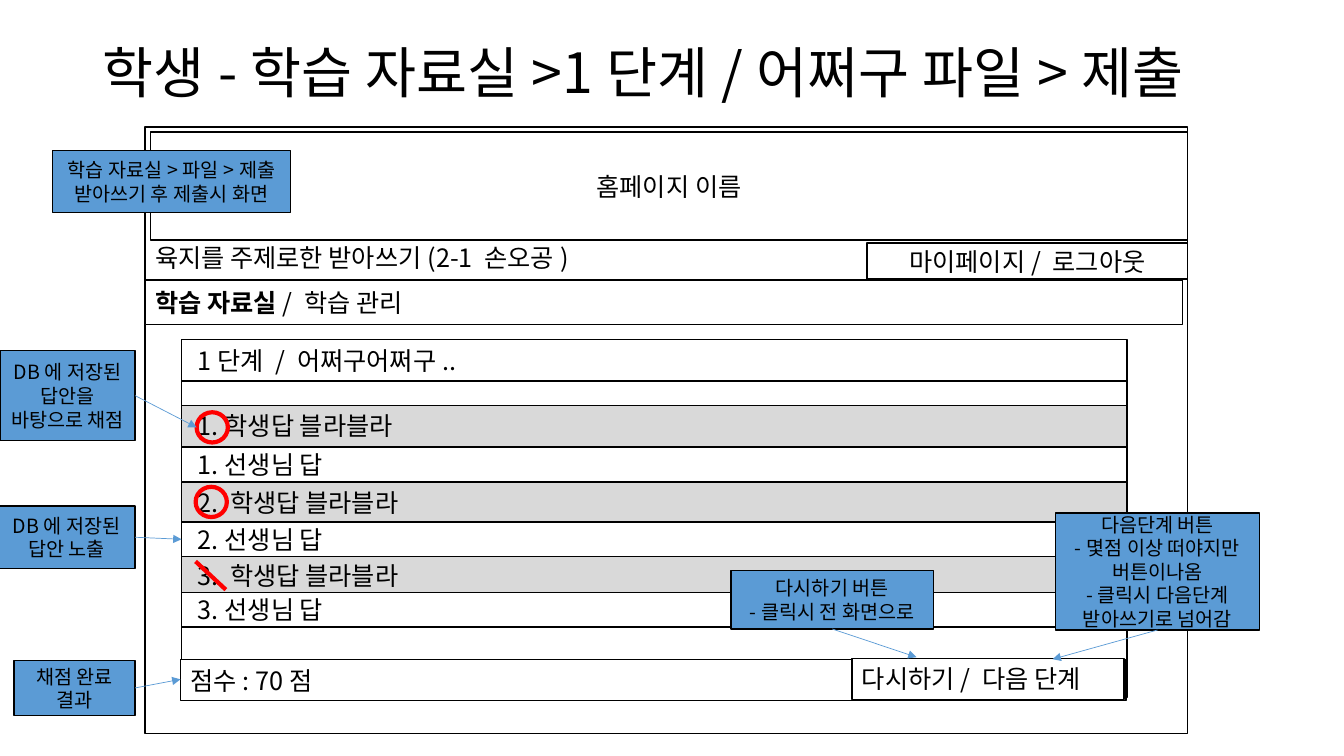
from dataclasses import dataclass

from lxml.etree import SubElement
from pptx import Presentation
from pptx.dml.color import RGBColor
from pptx.enum.shapes import MSO_CONNECTOR, MSO_SHAPE
from pptx.enum.text import MSO_ANCHOR, MSO_AUTO_SIZE, PP_ALIGN
from pptx.oxml.ns import qn
from pptx.util import Inches, Pt


@dataclass(frozen=True)
class Theme:
    font: str = "Noto Sans CJK KR"
    ink: RGBColor = RGBColor(0x00, 0x00, 0x00)
    paper: RGBColor = RGBColor(0xFF, 0xFF, 0xFF)
    student: RGBColor = RGBColor(0xD9, 0xD9, 0xD9)
    note: RGBColor = RGBColor(0x5B, 0x9B, 0xD5)
    mark: RGBColor = RGBColor(0xFF, 0x00, 0x00)
    title_size: float = 39.6
    body_size: float = 18
    note_size: float = 14


THEME = Theme()
BOTTOM, RIGHT = 2, 3  # connection sites of a rectangle


# Shared building blocks
def format_paragraph(paragraph, size, align=PP_ALIGN.LEFT):
    paragraph.alignment = align
    font = paragraph.font
    font.name, font.size = THEME.font, Pt(size)
    font.color.rgb = THEME.ink
    defaults = paragraph._p.pPr.find(qn("a:defRPr"))
    SubElement(defaults, qn("a:ea")).set("typeface", THEME.font)


def add_panel(slide, left, top, width, height, text="", fill=THEME.paper,
              size=THEME.body_size, align=PP_ALIGN.LEFT, indent=0.1):
    panel = slide.shapes.add_shape(MSO_SHAPE.RECTANGLE, Inches(left), Inches(top),
                                   Inches(width), Inches(height))
    panel.shadow.inherit = False
    panel.fill.solid()
    panel.fill.fore_color.rgb = fill
    panel.line.color.rgb = THEME.ink
    panel.line.width = Pt(1)
    frame = panel.text_frame
    frame.word_wrap = True
    frame.vertical_anchor = MSO_ANCHOR.MIDDLE
    frame.margin_left = Inches(indent)
    if text:
        frame.text = text
        for paragraph in frame.paragraphs:
            format_paragraph(paragraph, size, align)
    return panel


def add_line(slide, start, end, color, width):
    line = slide.shapes.add_connector(MSO_CONNECTOR.STRAIGHT,
                                      *(Inches(value) for value in (*start, *end)))
    line.line.color.rgb = color
    line.line.width = Pt(width)
    SubElement(line._element.spPr, qn("a:effectLst"))
    return line


def add_callout(slide, box, text, site=None, target=None):
    callout = add_panel(slide, *box, text, THEME.note, THEME.note_size, PP_ALIGN.CENTER)
    if target:
        left, top, width, height = box
        start = ((left + width, top + height / 2) if site == RIGHT
                 else (left + width / 2, top + height))
        arrow = add_line(slide, start, target, THEME.note, 0.5)
        arrow.begin_connect(callout, site)
        SubElement(arrow.line._get_or_add_ln(), qn("a:tailEnd")).set("type", "triangle")


# Slide title
def build_title(slide, left, top, width, height):
    title = slide.shapes.title
    title.left, title.top = Inches(left), Inches(top)
    title.width, title.height = Inches(width), Inches(height)
    frame = title.text_frame
    frame.text = "학생-학습 자료실>1단계/어쩌구 파일>제출"
    frame.auto_size = MSO_AUTO_SIZE.NONE
    frame.vertical_anchor = MSO_ANCHOR.MIDDLE
    heading = frame.paragraphs[0]
    format_paragraph(heading, THEME.title_size)
    heading.line_spacing = 0.9


# Web page frame: banner, account links, menu and lesson name
def build_page(slide, left, top, width, height):
    add_panel(slide, left, top, width, height)
    inner = width - 0.05
    add_panel(slide, left + 0.05, top + 0.05, inner, 1.07, "홈페이지 이름",
              align=PP_ALIGN.CENTER)
    add_panel(slide, left + width - 3.18, top + 1.15, 3.18, 0.36, "마이페이지/ 로그아웃",
              align=PP_ALIGN.CENTER)
    menu = add_panel(slide, left, top + 1.52, inner, 0.44, "학습 자료실")
    entry = menu.text_frame.paragraphs[0]
    entry.runs[0].font.bold = True
    other_entry = entry.add_run()
    other_entry.text = "/ 학습 관리"
    other_entry.font.bold = False

    lesson = slide.shapes.add_textbox(Inches(left), Inches(top + 1.09),
                                      Inches(7.11), Inches(0.4))
    lesson.text_frame.word_wrap = True
    lesson.text_frame.text = "육지를 주제로한 받아쓰기(2-1 손오공)"
    format_paragraph(lesson.text_frame.paragraphs[0], THEME.body_size)


# Answer sheet: student and teacher rows, marks and score bar
def build_answer_sheet(slide, left, top, width, height):
    indent = 0.16
    add_panel(slide, left, top + 0.39, width, height - 0.42)
    add_panel(slide, left, top, width, 0.41, "1단계 / 어쩌구어쩌구..", indent=indent)

    student_rows = ((0.65, "1.학생답 블라블라"), (1.41, "2. 학생답 블라블라"),
                    (2.13, "3. 학생답 블라블라"))
    for offset, answer in student_rows:
        add_panel(slide, left, top + offset, width, 0.41, answer, THEME.student,
                  indent=indent)
    for number, offset in enumerate((1.07, 1.81, 2.51), start=1):
        add_panel(slide, left, top + offset, width, 0.34, f"{number}.선생님 답",
                  indent=indent)

    for across, down in ((0.15, 0.72), (0.14, 1.46)):
        correct = slide.shapes.add_shape(MSO_SHAPE.OVAL, Inches(left + across),
                                         Inches(top + down), Inches(0.31), Inches(0.3))
        correct.shadow.inherit = False
        correct.fill.background()
        correct.line.color.rgb = THEME.mark
        correct.line.width = Pt(3)
    add_line(slide, (left + 0.14, top + 2.2), (left + 0.44, top + 2.48), THEME.mark, 3)

    add_panel(slide, left - 0.01, top + 3.17, width, 0.41, "점수: 70점")
    add_panel(slide, left + 6.65, top + 3.16, 2.7, 0.41, "다시하기/ 다음 단계")


# Explanatory callouts with their arrows
def build_callouts(slide):
    callouts = (
        ((0.52, 1.49, 2.36, 0.62), "학습 자료실>파일>제출\n받아쓰기 후 제출시 화면"),
        ((-0.02, 5.02, 1.36, 0.62), "DB에 저장된 답안 노출", RIGHT, (1.8, 5.35)),
        ((0, 3.48, 1.34, 0.89), "DB에 저장된 답안을 바탕으로 채점", RIGHT, (1.95, 4.24)),
        ((0.14, 6.55, 1.2, 0.55), "채점 완료 결과", RIGHT, (1.79, 6.74)),
        ((7.25, 5.66, 2.01, 0.58), "다시하기 버튼\n-클릭시 전 화면으로",
         BOTTOM, (9.09, 6.52)),
        ((10.47, 5.09, 2.02, 1.16),
         "다음단계 버튼\n-몇점 이상 떠야지만\n버튼이나옴\n-클릭시 다음단계\n받아쓰기로 넘어감",
         BOTTOM, (10.44, 6.54)),
    )
    for callout in callouts:
        add_callout(slide, *callout)


def main():
    deck = Presentation()
    deck.slide_width, deck.slide_height = Inches(13.33), Inches(7.5)
    slide = deck.slides.add_slide(deck.slide_layouts[5])
    build_title(slide, 0.92, 0.4, 11.15, 0.7)
    build_page(slide, 1.44, 1.26, 10.34, 6.02)
    build_answer_sheet(slide, 1.8, 3.37, 9.38, 3.58)
    build_callouts(slide)
    deck.save("out.pptx")


if __name__ == "__main__":
    main()
